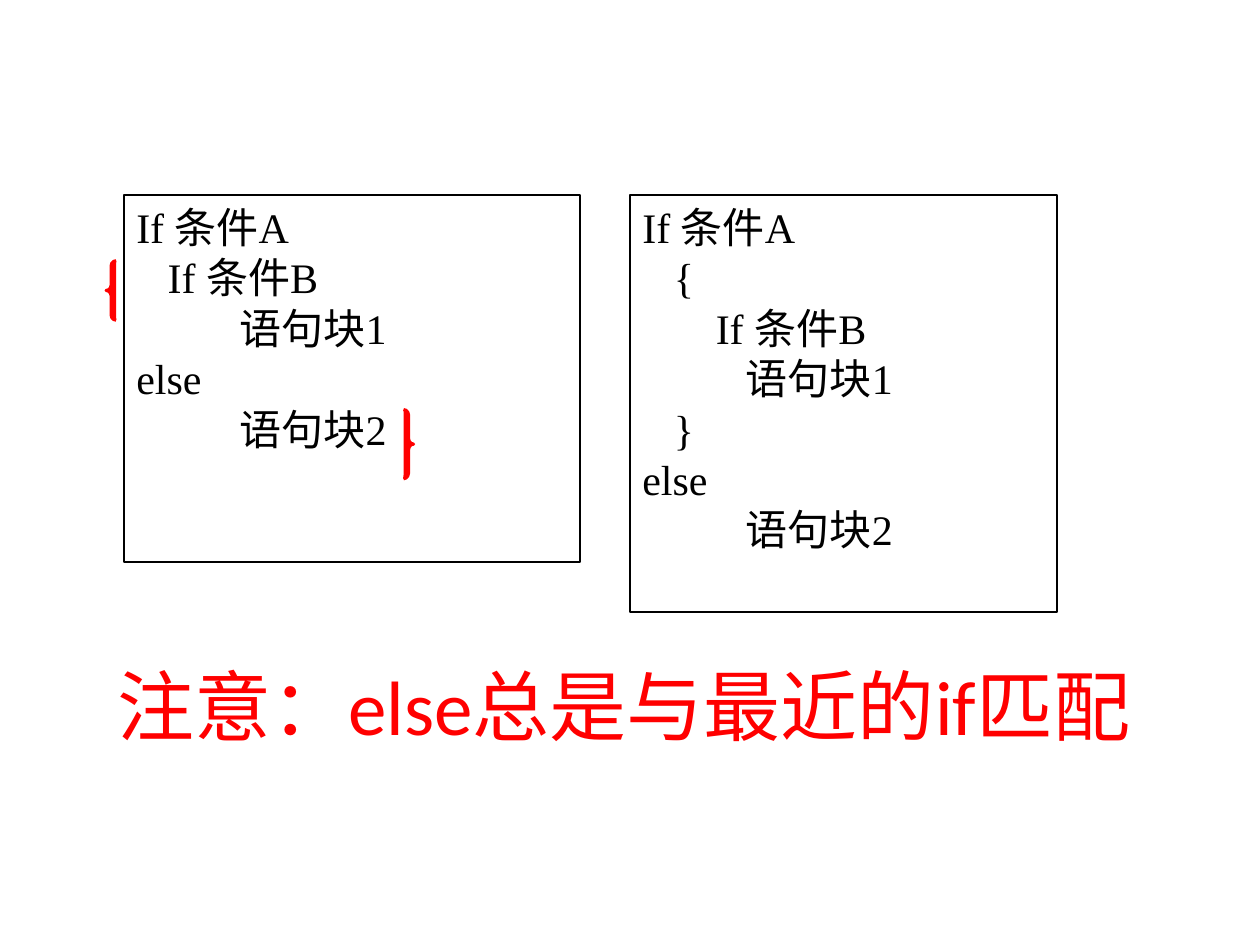
from pptx import Presentation
from pptx.dml.color import RGBColor
from pptx.enum.shapes import MSO_SHAPE
from pptx.enum.text import MSO_ANCHOR, MSO_AUTO_SIZE, PP_ALIGN
from pptx.util import Pt

RECTANGLE = MSO_SHAPE.RECTANGLE
LEFT_BRACE = MSO_SHAPE.LEFT_BRACE
RIGHT_BRACE = MSO_SHAPE.RIGHT_BRACE
TOP = MSO_ANCHOR.TOP
LEFT = PP_ALIGN.LEFT
GROW = MSO_AUTO_SIZE.SHAPE_TO_FIT_TEXT

BLACK = "000000"
RED = "FF0000"
CODE_TOP = 111.6

DANGLING_ELSE = """If 条件A
   If 条件B
           语句块1
else
           语句块2"""

BRACED_IF = """If 条件A
   {
       If 条件B
           语句块1
   }
else
           语句块2"""


def color(value):
    return RGBColor.from_string(value)


def write_text(shape, text, size=24, font="Times New Roman", ink=BLACK, spacing=None):
    frame = shape.text_frame
    frame.word_wrap = True
    frame.auto_size = GROW
    frame.vertical_anchor = TOP
    frame.text = text
    for paragraph in frame.paragraphs:
        paragraph.alignment = LEFT
        paragraph.line_spacing = spacing
        for run in paragraph.runs:
            run.font.size = Pt(size)
            run.font.name = font
            run.font.color.rgb = color(ink)


class SlideBuilder:
    """Draws code boxes, braces and notes on one slide."""

    def __init__(self, slide):
        self.slide = slide

    def outline(self, kind, left, top, width, height, ink, weight):
        shape = self.slide.shapes.add_shape(
            kind, Pt(left), Pt(top), Pt(width), Pt(height))
        shape.shadow.inherit = False
        shape.line.color.rgb = color(ink)
        shape.line.width = Pt(weight)
        return shape

    def code_box(self, text, left, width, height):
        shape = self.outline(RECTANGLE, left, CODE_TOP, width, height, BLACK, 1)
        shape.fill.background()
        write_text(shape, text)

    def brace(self, kind, left, top, height, curve):
        shape = self.outline(kind, left, top, 5.76, height, RED, 1.75)
        shape.fill.solid()
        shape.fill.fore_color.rgb = color(RED)
        shape.adjustments[0] = curve

    def note(self, text, left, top, width, height):
        shape = self.slide.shapes.add_textbox(
            Pt(left), Pt(top), Pt(width), Pt(height))
        write_text(shape, text, size=44, font="Calibri", ink=RED, spacing=0.8)


def main():
    presentation = Presentation()
    presentation.slide_width = Pt(720)
    presentation.slide_height = Pt(540)
    slide = presentation.slides.add_slide(presentation.slide_layouts[6])
    builder = SlideBuilder(slide)
    builder.code_box(DANGLING_ELSE, 70.8, 260.8, 209.5)
    builder.note("注意：else总是与最近的if匹配", 59.8, 383, 601.2, 49.7)
    builder.code_box(BRACED_IF, 360, 244, 238.3)
    builder.brace(LEFT_BRACE, 60.6, 149, 34, 0.51)
    builder.brace(RIGHT_BRACE, 230.6, 234, 39.6, 0.57)
    presentation.save("out.pptx")


if __name__ == "__main__":
    main()
